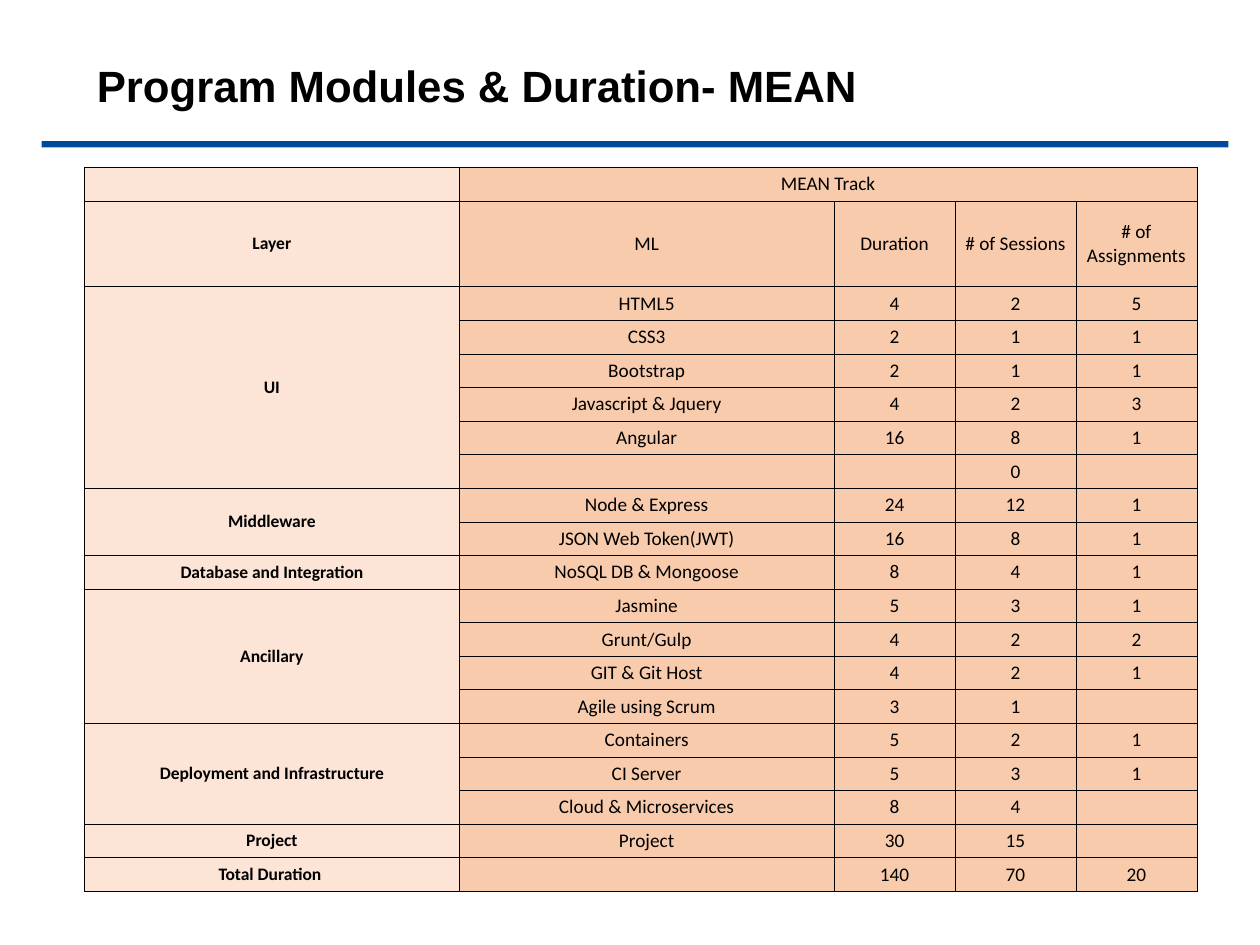
import dataclasses

import lxml.etree
import pptx
import pptx.dml.color
import pptx.enum.shapes
import pptx.enum.text
import pptx.oxml.ns
import pptx.util

Inches = pptx.util.Inches
Pt = pptx.util.Pt
RGBColor = pptx.dml.color.RGBColor


@dataclasses.dataclass(frozen=True)
class Theme:
    ink: str = "000000"
    rule: str = "004A9C"
    layer_fill: str = "FCE4D6"
    module_fill: str = "F8CBAD"
    title_font: str = "Arial"
    table_font: str = "Calibri"
    title_size: int = 25
    layer_size: int = 10
    module_size: int = 11
    border_width: float = 0.5


THEME = Theme()
TITLE = "Program Modules & Duration- MEAN"
TRACK = "MEAN Track"
HEADINGS = ("ML", "Duration", "# of Sessions", "# of Assignments")
LAYERS = (
    ("Layer", [HEADINGS]),
    ("UI", [
        ("HTML5", 4, 2, 5),
        ("CSS3", 2, 1, 1),
        ("Bootstrap", 2, 1, 1),
        ("Javascript & Jquery", 4, 2, 3),
        ("Angular", 16, 8, 1),
        ("", "", 0, ""),
    ]),
    ("Middleware", [
        ("Node & Express", 24, 12, 1),
        ("JSON Web Token(JWT)", 16, 8, 1),
    ]),
    ("Database and Integration", [("NoSQL DB & Mongoose", 8, 4, 1)]),
    ("Ancillary", [
        ("Jasmine", 5, 3, 1),
        ("Grunt/Gulp", 4, 2, 2),
        ("GIT & Git Host", 4, 2, 1),
        ("Agile using Scrum", 3, 1, ""),
    ]),
    ("Deployment and Infrastructure", [
        ("Containers", 5, 2, 1),
        ("CI Server", 5, 3, 1),
        ("Cloud & Microservices", 8, 4, ""),
    ]),
    ("Project", [("Project", 30, 15, "")]),
    ("Total Duration ", [("", 140, 70, 20)]),
)


def style_paragraph(paragraph, font_name, size, bold):
    paragraph.font.name = font_name
    paragraph.font.size = Pt(size)
    paragraph.font.bold = bold
    paragraph.font.color.rgb = RGBColor.from_string(THEME.ink)


def add_borders(cell):
    qn = pptx.oxml.ns.qn
    properties = cell._tc.get_or_add_tcPr()
    for position, side in enumerate(("a:lnL", "a:lnR", "a:lnT", "a:lnB")):
        line = lxml.etree.Element(qn(side), w=str(Pt(THEME.border_width)))
        fill = lxml.etree.SubElement(line, qn("a:solidFill"))
        lxml.etree.SubElement(fill, qn("a:srgbClr"), val=THEME.ink)
        properties.insert(position, line)


def fill_cell(cell, value, is_layer):
    cell.fill.solid()
    cell.fill.fore_color.rgb = RGBColor.from_string(
        THEME.layer_fill if is_layer else THEME.module_fill)
    add_borders(cell)
    cell.margin_left = cell.margin_right = 0
    cell.margin_top = cell.margin_bottom = 0
    cell.vertical_anchor = pptx.enum.text.MSO_ANCHOR.MIDDLE
    size = THEME.layer_size if is_layer else THEME.module_size
    paragraph = cell.text_frame.paragraphs[0]
    paragraph.alignment = pptx.enum.text.PP_ALIGN.CENTER
    style_paragraph(paragraph, THEME.table_font, size, is_layer)
    if value != "":
        paragraph.add_run().text = str(value)
    else:
        lxml.etree.SubElement(
            paragraph._p, pptx.oxml.ns.qn("a:endParaRPr"), sz=str(size * 100))


def add_title(slide, left, top, width, height):
    title = slide.shapes.add_textbox(left, top, width, height)
    title.text_frame.word_wrap = True
    paragraph = title.text_frame.paragraphs[0]
    paragraph.add_run().text = TITLE
    style_paragraph(paragraph, THEME.title_font, THEME.title_size, True)


def add_rule(slide, left, top, width, height):
    rule = slide.shapes.add_shape(
        pptx.enum.shapes.MSO_SHAPE.RECTANGLE, left, top, width, height)
    rule.shadow.inherit = False
    rule.fill.solid()
    rule.fill.fore_color.rgb = RGBColor.from_string(THEME.rule)
    rule.line.fill.background()


def add_modules_table(slide, left, top, width, height):
    rows = [("", TRACK, "", "", "")]
    merges = [(0, 1, 0, 4)]
    for layer, modules in LAYERS:
        first = len(rows)
        for index, module in enumerate(modules):
            rows.append(("" if index else layer, *module))
        if len(modules) > 1:
            merges.append((first, 0, len(rows) - 1, 0))

    table = slide.shapes.add_table(
        len(rows), len(rows[0]), left, top, width, height).table
    table.first_row = table.horz_banding = False

    number_width = Inches(0.96)
    name_width = (width - 3 * number_width) // 2
    for index, column in enumerate(table.columns):
        column.width = name_width if index < 2 else number_width

    heading_height = Inches(0.68)
    row_height = (height - heading_height) // (len(rows) - 1)
    for index, row in enumerate(table.rows):
        row.height = heading_height if index == 1 else row_height

    for row_index, values in enumerate(rows):
        for column_index, value in enumerate(values):
            fill_cell(table.cell(row_index, column_index), value,
                      column_index == 0)
    for first_row, first_column, last_row, last_column in merges:
        table.cell(first_row, first_column).merge(
            table.cell(last_row, last_column))


def main():
    presentation = pptx.Presentation()
    presentation.slide_width = Inches(10)
    presentation.slide_height = Inches(7.5)
    slide = presentation.slides.add_slide(presentation.slide_layouts[6])
    add_rule(slide, Inches(0.33), Inches(1.12), Inches(9.42), Inches(0.05))
    add_modules_table(
        slide, Inches(0.67), Inches(1.33), Inches(8.83), Inches(5.75))
    add_title(slide, Inches(0.67), Inches(0.42), Inches(6.25), Inches(0.52))
    presentation.save("out.pptx")


if __name__ == "__main__":
    main()
